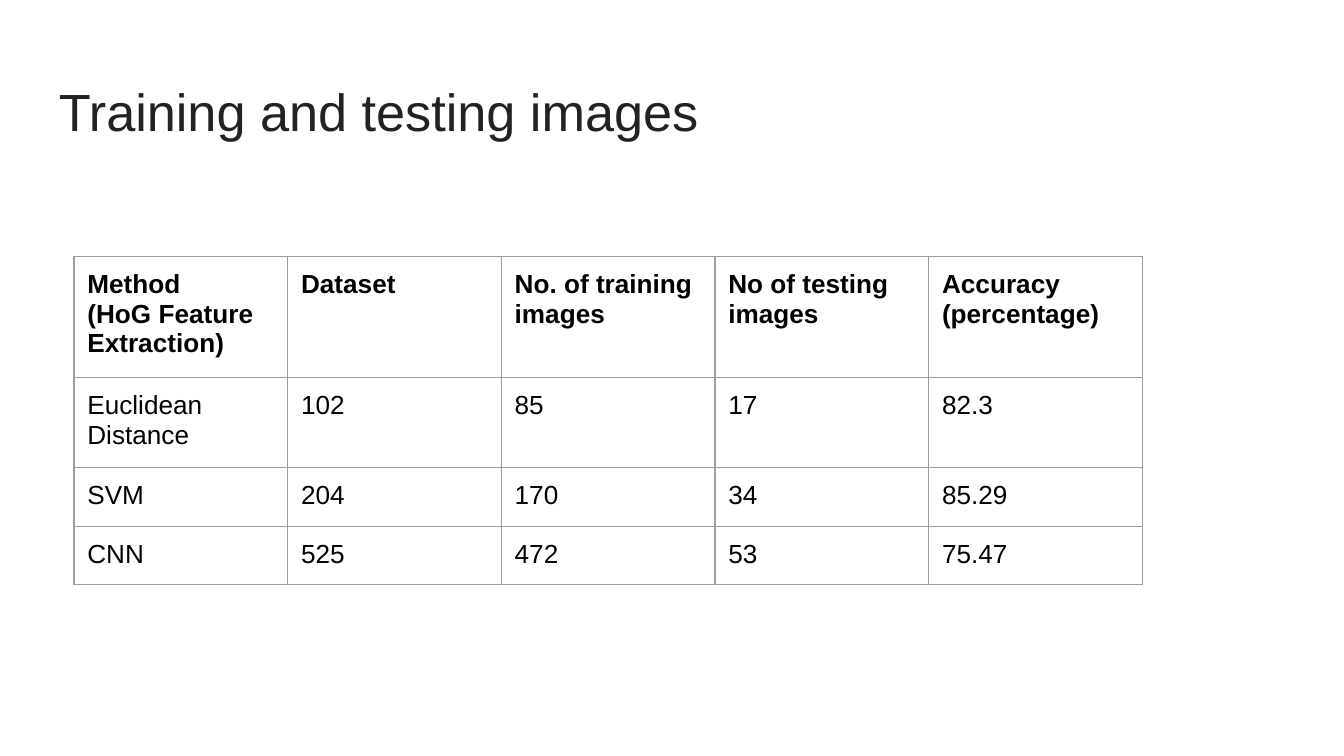
from dataclasses import dataclass

from lxml.etree import SubElement
from pptx import Presentation
from pptx.dml.color import RGBColor
from pptx.enum.text import MSO_ANCHOR
from pptx.oxml.ns import qn
from pptx.util import Inches, Pt


@dataclass(frozen=True)
class Theme:
    font: str = "Arial"
    title_color: str = "222222"
    text_color: str = "000000"
    border_color: str = "9E9E9E"
    title_size: float = 28
    text_size: float = 14
    border_width: float = 0.75


theme = Theme()


def style_text(holder, frame, size, color, bold=False):
    for side in ("left", "top", "right", "bottom"):
        setattr(holder, f"margin_{side}", Inches(0.1))
    spacing = {"line_spacing": 1.0, "space_before": Pt(0), "space_after": Pt(0)}
    looks = {"name": theme.font, "size": Pt(size), "bold": bold}
    for para in frame.paragraphs:
        for name, value in spacing.items():
            setattr(para, name, value)
        for span in para.runs:
            for name, value in looks.items():
                setattr(span.font, name, value)
            span.font.color.rgb = RGBColor.from_string(color)


def draw_borders(cell):
    properties = cell._tc.get_or_add_tcPr()
    for side in ("a:lnL", "a:lnR", "a:lnT", "a:lnB"):
        line = SubElement(properties, qn(side), w=str(Pt(theme.border_width)))
        fill = SubElement(line, qn("a:solidFill"))
        SubElement(fill, qn("a:srgbClr"), val=theme.border_color)


deck = Presentation()
deck.slide_width = Inches(10)
deck.slide_height = deck.slide_width * 9 // 16
page = deck.slides.add_slide(deck.slide_layouts[6])

title_box = page.shapes.add_textbox(Inches(0.34), Inches(0.49), Inches(9.32), Inches(0.63))
title = title_box.text_frame
title.text = "Training and testing images"
title.word_wrap = True
title.vertical_anchor = MSO_ANCHOR.TOP
style_text(title, title, theme.title_size, theme.title_color)

results = [
    ["Method\n(HoG Feature Extraction)", "Dataset", "No. of training images",
     "No of testing images", "Accuracy\n(percentage)"],
    ["Euclidean Distance", "102", "85", "17", "82.3"],
    ["SVM", "204", "170", "34", "85.29"],
    ["CNN", "525", "472", "53", "75.47"],
]
row_heights = [0.42, 0.42, 0.44, 0.42]
column_width = 1.59
frame_size = Inches(3.28)

table_frame = page.shapes.add_table(
    len(results), len(results[0]), Inches(0.55), Inches(1.91), frame_size, frame_size
)
table = table_frame.table
table.first_row = False
table.horz_banding = False
for column in table.columns:
    column.width = Inches(column_width)

for row_index, values in enumerate(results):
    table.rows[row_index].height = Inches(row_heights[row_index])
    for column_index, value in enumerate(values):
        cell = table.cell(row_index, column_index)
        cell.text = value
        style_text(cell, cell.text_frame, theme.text_size, theme.text_color, row_index == 0)
        draw_borders(cell)
        cell.fill.background()

table_frame.width = table_frame.height = frame_size

deck.save("out.pptx")
